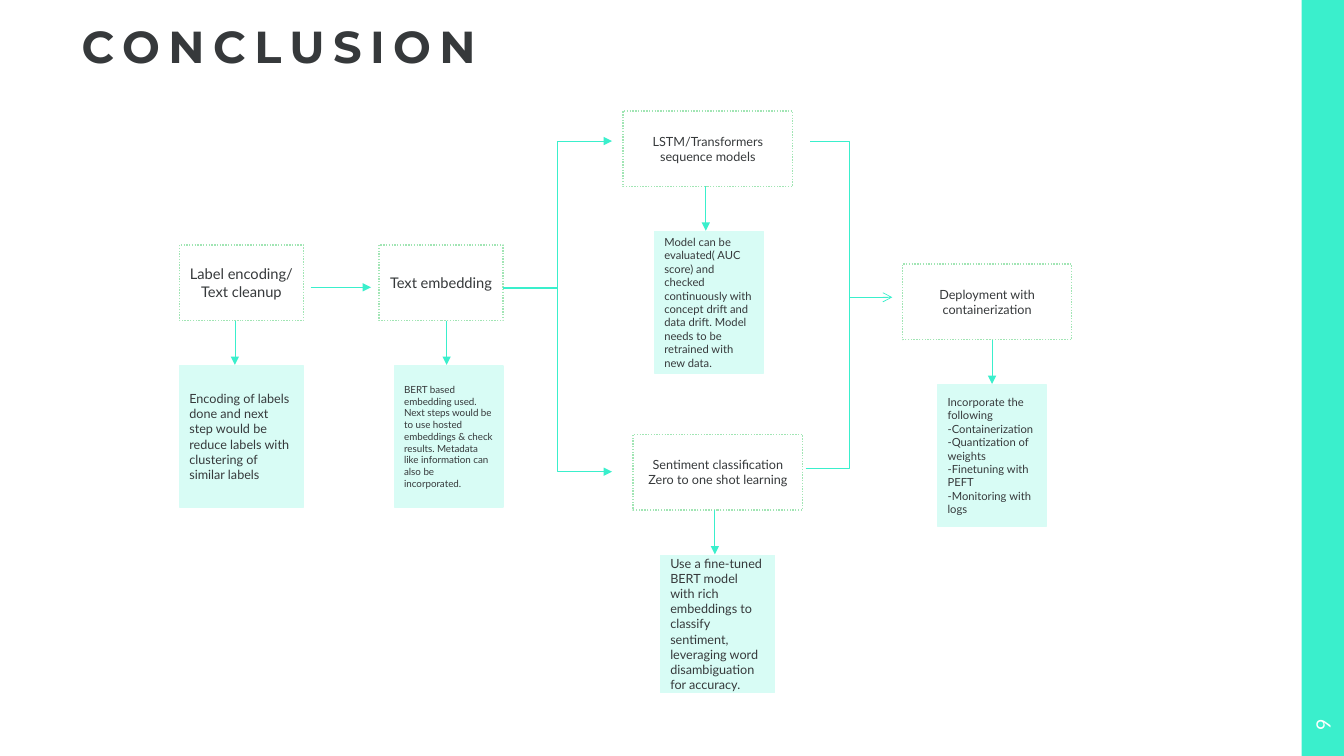
from lxml import etree
from pptx import Presentation
from pptx.dml.color import RGBColor
from pptx.enum.dml import MSO_LINE
from pptx.enum.shapes import MSO_CONNECTOR as CONN, MSO_SHAPE as SHAPE
from pptx.enum.text import MSO_ANCHOR as ANCHOR, PP_ALIGN as ALIGN
from pptx.oxml.ns import qn
from pptx.util import Inches, Pt

COLORS = {"accent": "3AEFCC", "text": "36393B", "white": "FFFFFF",
          "border": "A1E5B4", "note": "D8FCF5"}
RGB = {name: RGBColor.from_string(value) for name, value in COLORS.items()}

prs = Presentation()
prs.slide_width, prs.slide_height = Inches(13.33), Inches(7.5)
s = prs.slides.add_slide(prs.slide_layouts[6])


def write(sp, lines, size, color="text", font="Lato", align=ALIGN.LEFT, anchor=ANCHOR.MIDDLE):
    """Fill a shape with one paragraph per line, all in one style."""
    tf = sp.text_frame
    tf.word_wrap = True
    tf.vertical_anchor = anchor
    tf.text = "\n".join(lines)
    for p in tf.paragraphs:
        p.alignment = align
        p.font.name, p.font.size = font, Pt(size)
        p.font.color.rgb = RGB[color]
    return tf


def connect(kind, start, end, head=None):
    """Draw a thin accent connector, with an arrowhead at its end if named."""
    cx = s.shapes.add_connector(kind, *map(Inches, start + end))
    cx.line.color.rgb = RGB["accent"]
    cx.line.width = Pt(0.5)
    if head:
        etree.SubElement(cx.line._get_or_add_ln(), qn("a:tailEnd"), type=head)
    etree.SubElement(cx._element.spPr, qn("a:effectLst"))


# Side bar, title and page number
bar = s.shapes.add_shape(SHAPE.RECTANGLE, Inches(12.91), 0, Inches(0.42), Inches(7.5))
bar.shadow.inherit = False
bar.fill.solid()
bar.fill.fore_color.rgb = RGB["accent"]
bar.line.fill.background()

title = s.shapes.add_textbox(Inches(0.81), Inches(0.15), Inches(11.07), Inches(0.58))
tf = write(title, ["CONCLUSION"], 32, font="Montserrat", anchor=ANCHOR.BOTTOM)
tf.margin_left = tf.margin_right = tf.margin_top = tf.margin_bottom = 0
p = tf.paragraphs[0]
p.font.bold = True
p.line_spacing = 0.9
p.runs[0].font._element.set("spc", "600")

number = s.shapes.add_textbox(Inches(12.81), Inches(6.98), Inches(0.62), Inches(0.42))
number.rotation = 270
write(number, ["9"], 14, "white", align=ALIGN.CENTER)

# Steps: left, top, width, text size, lines
STEP_H = 0.75
steps = [
    (1.78, 2.43, 1.23, 10.5, ["Label encoding/ Text cleanup"]),
    (3.76, 2.43, 1.23, 10.5, ["Text embedding"]),
    (6.18, 1.1, 1.68, 9, ["LSTM/Transformers sequence models"]),
    (6.28, 4.31, 1.68, 9, ["Sentiment classification", "Zero to one shot learning"]),
    (8.95, 2.62, 1.68, 9, ["Deployment with containerization"]),
]
# Notes below the steps: left, width, height, arrow x, text size, lines
notes = [
    (1.78, 1.23, 1.4, 2.33, 9,
     ["Encoding of labels done and next step would be reduce labels with "
      "clustering of similar labels"]),
    (3.91, 1.08, 1.4, 4.43, 7,
     ["BERT based embedding used. Next steps would be to use hosted embeddings "
      "& check results. Metadata like information can also be incorporated."]),
    (6.49, 1.08, 1.4, 7, 8,
     ["Model can be evaluated( AUC score) and checked continuously with concept "
      "drift and data drift. Model needs to be retrained with new data."]),
    (6.55, 1.13, 1.36, 7.09, 9,
     ["Use a fine-tuned BERT model with rich embeddings to classify sentiment, "
      "leveraging word disambiguation for accuracy."]),
    (9.3, 1.08, 1.4, 9.84, 8,
     ["Incorporate the following", "-Containerization", "-Quantization of weights",
      "-Finetuning with PEFT", "-Monitoring with logs"]),
]

for step, note in zip(steps, notes):
    left, top, width, size, lines = step
    note_left, note_width, note_height, arrow_x, note_size, note_lines = note
    bottom = top + STEP_H
    boxes = [
        (left, top, width, STEP_H, "white", "border", size, lines, ALIGN.CENTER),
        (note_left, bottom + 0.45, note_width, note_height, "note", "note",
         note_size, note_lines, ALIGN.LEFT),
    ]
    for x, y, w, h, fill, border, pt, text, align in boxes:
        sp = s.shapes.add_shape(SHAPE.RECTANGLE, *map(Inches, (x, y, w, h)))
        sp.shadow.inherit = False
        sp.fill.solid()
        sp.fill.fore_color.rgb = RGB[fill]
        sp.line.color.rgb = RGB[border]
        sp.line.width = Pt(1)
        if border == "border":
            sp.line.dash_style = MSO_LINE.ROUND_DOT
        write(sp, text, pt, align=align)
    connect(CONN.STRAIGHT, (arrow_x, bottom), (arrow_x, bottom + 0.44), "triangle")

# Flow between the steps
connect(CONN.STRAIGHT, (3.08, 2.85), (3.68, 2.85), "triangle")
connect(CONN.ELBOW, (4.99, 2.86), (6.07, 1.4), "triangle")
connect(CONN.ELBOW, (4.99, 2.85), (6.07, 4.68), "triangle")
connect(CONN.ELBOW, (8.81, 2.95), (8.03, 1.4))
connect(CONN.ELBOW, (7.99, 4.65), (8.85, 2.95), "arrow")

prs.save("out.pptx")
